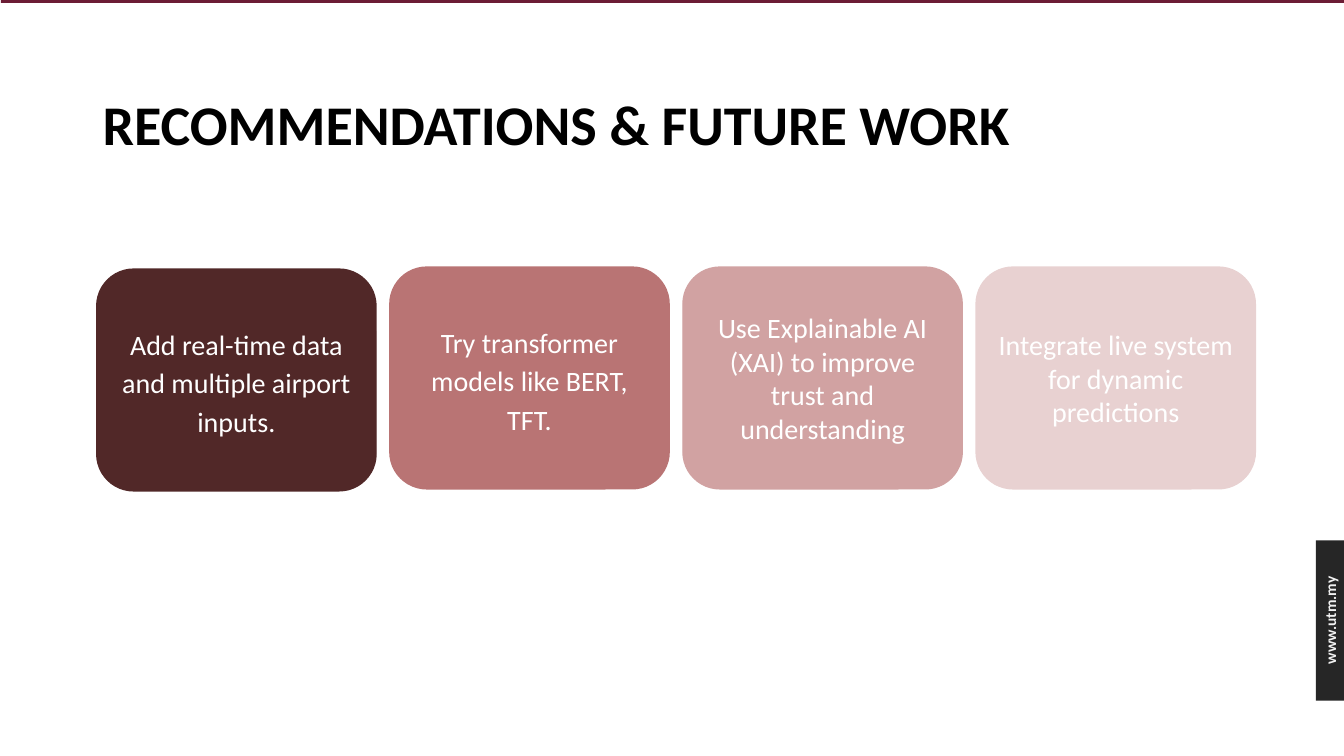
from pptx import Presentation
from pptx.dml.color import RGBColor
from pptx.enum.shapes import MSO_SHAPE as Shape
from pptx.enum.text import MSO_ANCHOR as Anchor, PP_ALIGN as Align
from pptx.util import Inches, Pt

THEME = {
    "font": "Calibri",
    "title_size": 40, "card_size": 20, "address_size": 11,
    "ink": "000000", "card_text": "FFFFFF", "address_text": "F2F2F2",
    "top_bar": "6C1D35", "side_tab": "262626",
}

deck = Presentation()
deck.slide_width, deck.slide_height = Inches(13.33), Inches(7.5)
page = deck.slides.add_slide(deck.slide_layouts[6])


def add_block(kind, left, top, width, height, fill, line_width=0):
    block = page.shapes.add_shape(
        kind, Inches(left), Inches(top), Inches(width), Inches(height))
    block.shadow.inherit = False
    block.fill.solid()
    block.fill.fore_color.rgb = RGBColor.from_string(fill)
    if line_width:
        block.line.color.rgb = RGBColor.from_string(fill)
        block.line.width = Pt(line_width)
    else:
        block.line.fill.background()
    return block


def write(box, text, size, color, bold=False, align=Align.CENTER,
          anchor=Anchor.MIDDLE, line_spacing=None, space_after=None, wrap=True):
    frame = box.text_frame
    frame.word_wrap = wrap
    frame.vertical_anchor = anchor
    para = frame.paragraphs[0]
    para.alignment = align
    if line_spacing:
        para.line_spacing = line_spacing
    if space_after:
        para.space_after = Pt(space_after)
    span = para.add_run()
    span.text = text
    span.font.name = THEME["font"]
    span.font.size = Pt(size)
    span.font.bold = bold
    span.font.color.rgb = RGBColor.from_string(color)


# Side tab with the web address
add_block(Shape.RECTANGLE, 13.05, 5.36, 0.29, 1.59, THEME["side_tab"])
address = page.shapes.add_textbox(Inches(12.44), Inches(6.01), Inches(1.51), Inches(0.29))
address.rotation = 270
write(address, "www.utm.my", THEME["address_size"], THEME["address_text"],
      bold=True, anchor=Anchor.TOP)

# Bar along the top edge
add_block(Shape.RECTANGLE, 0.01, -0.02, 13.33, 0.05, THEME["top_bar"])

# Title
title = page.shapes.add_textbox(Inches(0.92), Inches(0.85), Inches(11.5), Inches(0.83))
write(title, "RECOMMENDATIONS & FUTURE WORK", THEME["title_size"], THEME["ink"],
      bold=True, align=Align.LEFT, line_spacing=0.9)

# Row of recommendation cards, fading from left to right
CARD_LEFT, CARD_PITCH, CARD_WIDTH, CARD_HEIGHT = 0.96, 2.907, 2.77, 2.2
loose = {"line_spacing": 1.15, "space_after": 8}
cards = [
    ("Add real-time data and multiple airport inputs.", "512828", 2.67, loose),
    ("Try transformer models like BERT, TFT.", "B97474", 2.65, loose),
    ("Use Explainable AI (XAI) to improve trust and understanding", "D1A2A2", 2.65, {}),
    ("Integrate live system for dynamic predictions", "E8D1D1", 2.65, {}),
]
for column, (text, fill, top, spacing) in enumerate(cards):
    card = add_block(Shape.ROUNDED_RECTANGLE, CARD_LEFT + column * CARD_PITCH, top,
                     CARD_WIDTH, CARD_HEIGHT, fill, line_width=1)
    write(card, text, THEME["card_size"], THEME["card_text"], **spacing)

deck.save("out.pptx")
